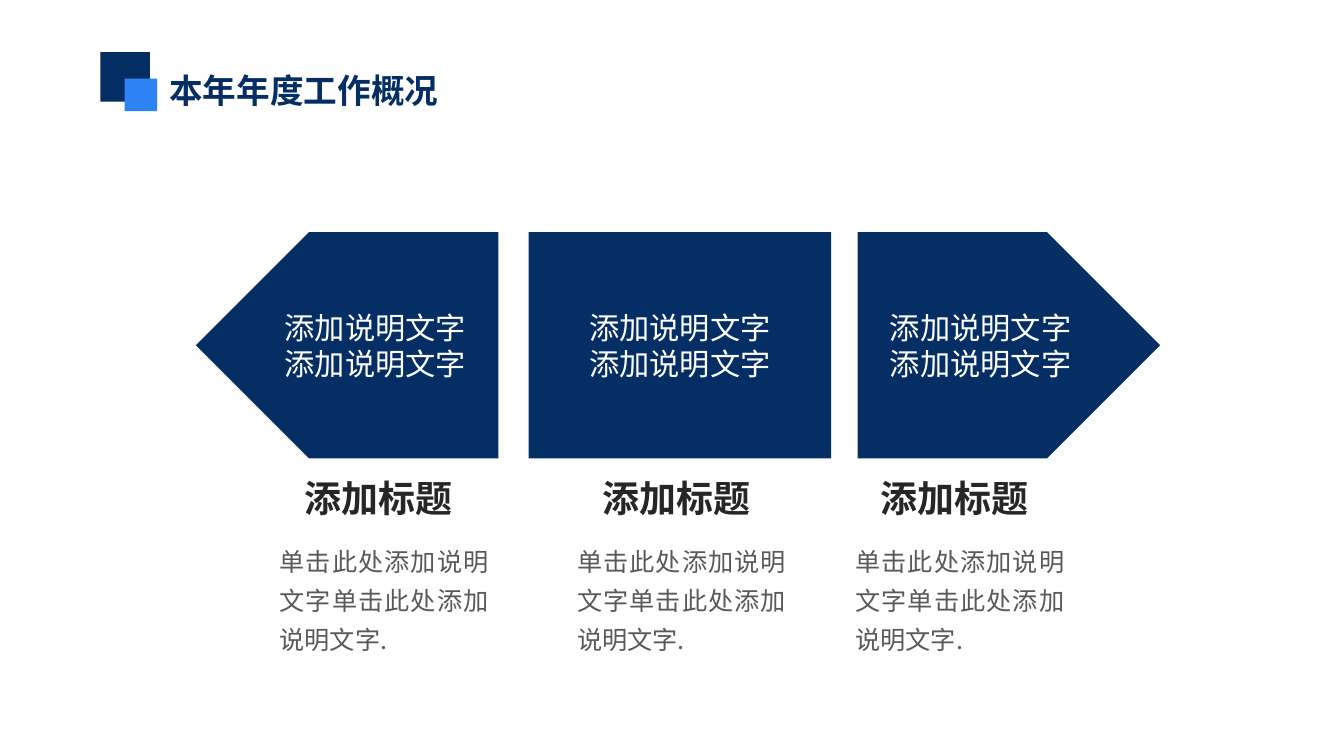
from dataclasses import dataclass

from pptx import Presentation
from pptx.dml.color import RGBColor
from pptx.enum.shapes import MSO_SHAPE as Shape
from pptx.enum.text import MSO_ANCHOR as Anchor, PP_ALIGN as Align
from pptx.oxml.ns import qn
from pptx.util import Inches, Pt


@dataclass(frozen=True)
class Theme:
    navy: str = "052E65"
    blue: str = "2D83F4"
    white: str = "FFFFFF"
    heading: str = "262626"
    body: str = "595959"
    font: str = "Noto Sans CJK SC"
    second_font: str = "Calibri"
    title_size: float = 20
    banner_size: float = 18
    heading_size: float = 22
    body_size: float = 15


THEME = Theme()


def write(frame, *lines, size, color, fonts=(THEME.font,), bold=False, align=Align.LEFT,
          anchor=Anchor.TOP, inset=0.11, spacing=None, after=None):
    frame.word_wrap = True
    frame.vertical_anchor = anchor
    frame.margin_left = frame.margin_right = Inches(inset)
    frame.margin_top = frame.margin_bottom = Inches(0.05)
    for index, line in enumerate(lines):
        paragraph = frame.add_paragraph() if index else frame.paragraphs[0]
        paragraph.alignment = align
        if spacing:
            paragraph.line_spacing = spacing
        if after:
            paragraph.space_after = Pt(after)
        run = paragraph.add_run()
        run.text = line
        run.font.size = Pt(size)
        run.font.bold = bold
        run.font.color.rgb = RGBColor.from_string(color)
        typeface = fonts[index % len(fonts)]
        run.font.name = typeface
        east_asian = run.font._element.makeelement(qn("a:ea"), {"typeface": typeface})
        run.font._element.find(qn("a:latin")).addnext(east_asian)


def add_text(slide, box, *lines, **style):
    label = slide.shapes.add_textbox(*map(Inches, box))
    write(label.text_frame, *lines, **style)


def add_block(slide, kind, box, color):
    block = slide.shapes.add_shape(kind, *map(Inches, box))
    block.shadow.inherit = False
    block.fill.solid()
    block.fill.fore_color.rgb = RGBColor.from_string(color)
    block.line.fill.background()
    return block


def add_header(slide, box, title):
    left, top, width, height = box
    add_text(slide, (left + 0.47, top + 0.1, width - 0.47, height - 0.1), title,
             size=THEME.title_size, color=THEME.navy, bold=True, inset=0.1)
    add_block(slide, Shape.RECTANGLE, (left, top, 0.41, 0.41), THEME.navy)
    add_block(slide, Shape.RECTANGLE, (left + 0.2, top + 0.22, 0.27, 0.27), THEME.blue)


def add_banner(slide, box, kind, lines, flipped=False):
    banner = add_block(slide, kind, box, THEME.navy)
    if flipped:
        banner._element.spPr.find(qn("a:xfrm")).set("flipH", "1")
    write(banner.text_frame, *lines, size=THEME.banner_size, color=THEME.white,
          fonts=(THEME.font, THEME.second_font), align=Align.CENTER, anchor=Anchor.MIDDLE)


def add_caption(slide, box, heading, description):
    left, top, width, height = box
    add_text(slide, (left + 0.21, top, 1.53, 0.48), heading,
             size=THEME.heading_size, color=THEME.heading, bold=True)
    add_text(slide, (left, top + 0.51, width, height - 0.51), description,
             size=THEME.body_size, color=THEME.body, align=Align.JUSTIFY,
             spacing=1.3, after=6.5)


def add_overview(slide, box):
    left, top, width, height = box
    columns = (
        (0, 0.58, Shape.PENTAGON, True),
        (2.75, 3.04, Shape.RECTANGLE, False),
        (5.47, 5.34, Shape.PENTAGON, False),
    )
    for banner_x, caption_x, kind, flipped in columns:
        add_banner(slide, (left + banner_x, top, width - 5.47, 1.87), kind,
                   ("添加说明文字", "添加说明文字"), flipped)
        add_caption(slide, (left + caption_x, top + 1.96, 1.95, height - 1.96),
                    "添加标题", "单击此处添加说明文字单击此处添加说明文字.")


def main():
    deck = Presentation()
    deck.slide_width, deck.slide_height = Inches(11.11), Inches(6.25)
    slide = deck.slides.add_slide(deck.slide_layouts[6])
    add_header(slide, (0.83, 0.43, 2.99, 0.54), "本年年度工作概况")
    add_overview(slide, (1.62, 1.92, 7.97, 3.57))
    deck.save("out.pptx")


if __name__ == "__main__":
    main()
